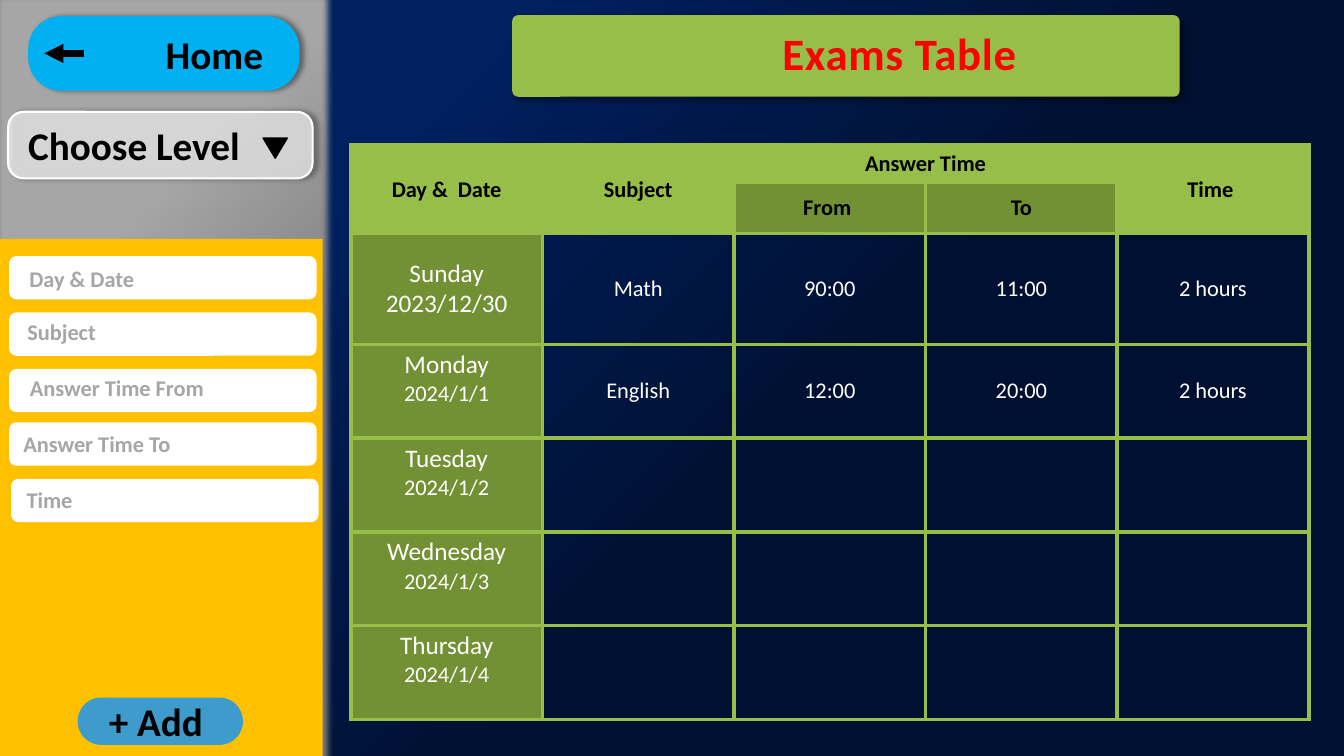
from dataclasses import dataclass

from lxml import etree
from pptx import Presentation
from pptx import util as u
from pptx.dml.color import RGBColor
from pptx.enum import shapes, text
from pptx.oxml import ns

COLORS = {
    "black": "000000", "white": "FFFFFF", "red": "FF0000", "grey": "A6A6A6",
    "dark_grey": "808080", "sky": "00B0F0", "blue": "3D9CCC", "amber": "FFC000",
    "green": "97BE49", "olive": "729134", "navy": "002060",
    "deep_navy": "001848", "night": "001030",
}
FONT = "Calibri"
SHAPE = shapes.MSO_SHAPE


@dataclass
class Run:
    text: str
    size: float
    color: str = "black"
    bold: bool = True
    spacing: int = 0


@dataclass
class Box:
    left: float
    top: float
    width: float
    height: float
    fill: str
    corner: float | None = None
    line: str | None = None
    line_width: float = 0
    shadow_angle: int | None = None
    kind: SHAPE = SHAPE.ROUNDED_RECTANGLE


@dataclass
class Label:
    left: float
    top: float
    width: float
    height: float
    runs: list[Run]
    align: text.PP_ALIGN = text.PP_ALIGN.CENTER


@dataclass
class Field:
    name: str
    left: float
    top: float
    label_left: float
    label_top: float
    label_width: float = 1.91


FIELDS = [
    Field("Day & Date", 0.09, 2.54, -0.1, 2.41),
    Field("Subject", 0.09, 3.1, -0.3, 2.94),
    Field("Answer Time From", 0.09, 3.66, 0.18, 3.5, 1.96),
    Field("Answer Time To", 0.09, 4.19, 0.05, 4.05),
    Field("Time", 0.11, 4.75, -0.42, 4.61),
]
HEADERS = [
    (0, 0, 1, 0, "Day &  Date"), (0, 1, 1, 1, "Subject"),
    (0, 2, 0, 3, "Answer Time"), (0, 4, 1, 4, "Time "),
    (1, 2, 1, 2, "From "), (1, 3, 1, 3, "To"),
]
EXAMS = [
    ("Sunday", "2023/12/30", ["Math", "90:00", "11:00", "2 hours"]),
    ("Monday", "2024/1/1", ["English", "12:00", "20:00", "2 hours"]),
    ("Tuesday", "2024/1/2", []),
    ("Wednesday", "2024/1/3", []),
    ("Thursday", "2024/1/4", []),
]
ROW_HEIGHTS = [0.36, 0.51, 1.1] + [0.93] * 4
COLUMN_WIDTH = 1.9


def rgb(name: str) -> RGBColor:
    return RGBColor.from_string(COLORS[name])


def child(parent, tag: str, **attributes):
    return etree.SubElement(parent, ns.qn(tag), {k: str(v) for k, v in attributes.items()})


def set_gradient(owner, stops: list[tuple[int, str]]) -> None:
    gradient = owner.find(".//" + ns.qn("a:gradFill"))
    for old in list(gradient):
        gradient.remove(old)
    stop_list = child(gradient, "a:gsLst")
    for position, color in stops:
        stop = child(stop_list, "a:gs", pos=position * 1000)
        child(stop, "a:srgbClr", val=COLORS[color])
    child(gradient, "a:lin", ang=45 * 60000, scaled=0)


def add_box(slide, box: Box):
    shape = slide.shapes.add_shape(
        box.kind, *map(u.Inches, (box.left, box.top, box.width, box.height)))
    shape.shadow.inherit = False
    shape.fill.solid()
    shape.fill.fore_color.rgb = rgb(box.fill)
    if box.corner is not None:
        shape.adjustments[0] = box.corner
    if box.line:
        shape.line.color.rgb = rgb(box.line)
        shape.line.width = u.Pt(box.line_width)
    else:
        shape.line.fill.background()
    if box.shadow_angle is not None:
        effects = shape.element.spPr.find(ns.qn("a:effectLst"))
        shadow = child(effects, "a:outerShdw", blurRad=u.Pt(4), dist=u.Pt(3),
                       dir=box.shadow_angle * 60000, algn="tl", rotWithShape=0)
        child(child(shadow, "a:srgbClr", val=COLORS["black"]), "a:alpha", val=40000)
    return shape


def add_run(paragraph, item: Run) -> None:
    run = paragraph.add_run()
    run.text = item.text
    run.font.name = FONT
    run.font.size = u.Pt(item.size)
    run.font.bold = item.bold
    run.font.color.rgb = rgb(item.color)
    if item.spacing:
        run.font._element.set("spc", str(item.spacing))


def add_label(slide, label: Label) -> None:
    shape = slide.shapes.add_textbox(
        *map(u.Inches, (label.left, label.top, label.width, label.height)))
    shape.text_frame.word_wrap = True
    shape.text_frame.auto_size = text.MSO_AUTO_SIZE.SHAPE_TO_FIT_TEXT
    paragraph = shape.text_frame.paragraphs[0]
    paragraph.alignment = label.align
    for item in label.runs:
        add_run(paragraph, item)


def fill_cell(cell, lines: list[Run], fill: str | None = None) -> None:
    cell.vertical_anchor = text.MSO_ANCHOR.MIDDLE
    for index, item in enumerate(lines):
        frame = cell.text_frame
        paragraph = frame.add_paragraph() if index else frame.paragraphs[0]
        paragraph.alignment = text.PP_ALIGN.CENTER
        add_run(paragraph, item)
    properties = cell._tc.get_or_add_tcPr()
    for side in ("a:lnL", "a:lnR", "a:lnT", "a:lnB"):
        border = child(child(properties, side, w=u.Pt(3)), "a:solidFill")
        child(border, "a:srgbClr", val=COLORS["green"])
    if fill:
        cell.fill.solid()
        cell.fill.fore_color.rgb = rgb(fill)
    else:
        cell.fill.background()


def add_exam_table(slide) -> None:
    table = slide.shapes.add_table(
        len(ROW_HEIGHTS), 5, u.Inches(3.48), u.Inches(1.44),
        u.Inches(5 * COLUMN_WIDTH), u.Inches(sum(ROW_HEIGHTS))).table
    for column in table.columns:
        column.width = u.Inches(COLUMN_WIDTH)
    for row, height in zip(table.rows, ROW_HEIGHTS):
        row.height = u.Inches(height)
    titles = {(top, left): title for top, left, _, _, title in HEADERS}
    for row in range(2):
        for column in range(5):
            title = titles.get((row, column))
            fill = "olive" if row == 1 and column in (2, 3) else "green"
            fill_cell(table.cell(row, column), [Run(title, 16)] if title else [], fill)
    for top, left, bottom, right, _ in HEADERS:
        if (top, left) != (bottom, right):
            table.cell(top, left).merge(table.cell(bottom, right))
    for row, (day, date, details) in enumerate(EXAMS, start=2):
        date_size = 18 if row == 2 else 16
        day_cell = table.cell(row, 0)
        fill_cell(day_cell, [Run(day, 18, "white", False),
                             Run(date, date_size, "white", False)], "olive")
        if row > 2:
            day_cell.vertical_anchor = text.MSO_ANCHOR.TOP
        for column in range(1, 5):
            lines = [Run(value, 16, "white", False) for value in details[column - 1:column]]
            fill_cell(table.cell(row, column), lines)


def add_back_arrow(slide) -> None:
    arrow = slide.shapes.add_connector(
        shapes.MSO_CONNECTOR.STRAIGHT, *map(u.Inches, (0.83, 0.53, 0.44, 0.53)))
    arrow.line.color.rgb = rgb("black")
    arrow.line.width = u.Pt(4.5)
    child(arrow.line._get_or_add_ln(), "a:tailEnd", type="triangle")
    child(arrow._element.spPr, "a:effectLst")


def main() -> None:
    presentation = Presentation()
    presentation.slide_width, presentation.slide_height = u.Inches(13.33), u.Inches(7.5)
    slide = presentation.slides.add_slide(presentation.slide_layouts[6])
    slide.background.fill.gradient()
    set_gradient(slide.element, [(25, "navy"), (42, "deep_navy"), (59, "night")])

    panel = add_box(slide, Box(-0.09, -0.1, 3.4, 7.75, "grey", 0))
    panel.fill.gradient()
    set_gradient(panel.element, [(33, "grey"), (60, "dark_grey")])
    child(panel.element.spPr.find(ns.qn("a:effectLst")), "a:softEdge", rad=u.Pt(5))

    add_box(slide, Box(0.28, 0.16, 2.69, 0.74, "sky", 0.441, shadow_angle=0))
    add_label(slide, Label(1.11, 0.25, 2.12, 0.57, [Run("Home ", 28)]))
    add_back_arrow(slide)

    level = add_box(slide, Box(0.08, 1.11, 3.02, 0.66, "white", 0.232, "white", 1.5, 0))
    level_color = level.element.spPr.find(ns.qn("a:solidFill"))[0]
    child(level_color, "a:alpha", val=69000)
    add_label(slide, Label(0.18, 1.15, 2.91, 0.57, [Run("Choose Level", 28)],
                           text.PP_ALIGN.LEFT))
    marker = add_box(slide, Box(2.61, 1.37, 0.24, 0.2, "black", line="black",
                                line_width=1, kind=SHAPE.ISOSCELES_TRIANGLE))
    marker.element.spPr.xfrm.set("flipV", "1")

    add_box(slide, Box(5.08, 0.15, 6.62, 0.81, "green", 0.073, shadow_angle=45))
    add_label(slide, Label(7.63, 0.21, 2.69, 0.64,
                           [Run("Exams Table ", 32, "red", spacing=50)]))

    add_box(slide, Box(-0.01, 2.37, 3.21, 5.17, "amber", 0))
    for field in FIELDS:
        add_box(slide, Box(field.left, field.top, 3.05, 0.43, "white"))
        add_label(slide, Label(field.label_left, field.label_top, field.label_width, 0.57,
                               [Run(field.name, 16, "grey"), Run(" ", 28, "grey")]))
    add_box(slide, Box(0.77, 6.92, 1.64, 0.47, "blue", 0.5))
    add_label(slide, Label(0.53, 6.87, 2.12, 0.57, [Run("+ Add ", 28)]))
    add_exam_table(slide)
    presentation.save("out.pptx")


if __name__ == "__main__":
    main()
